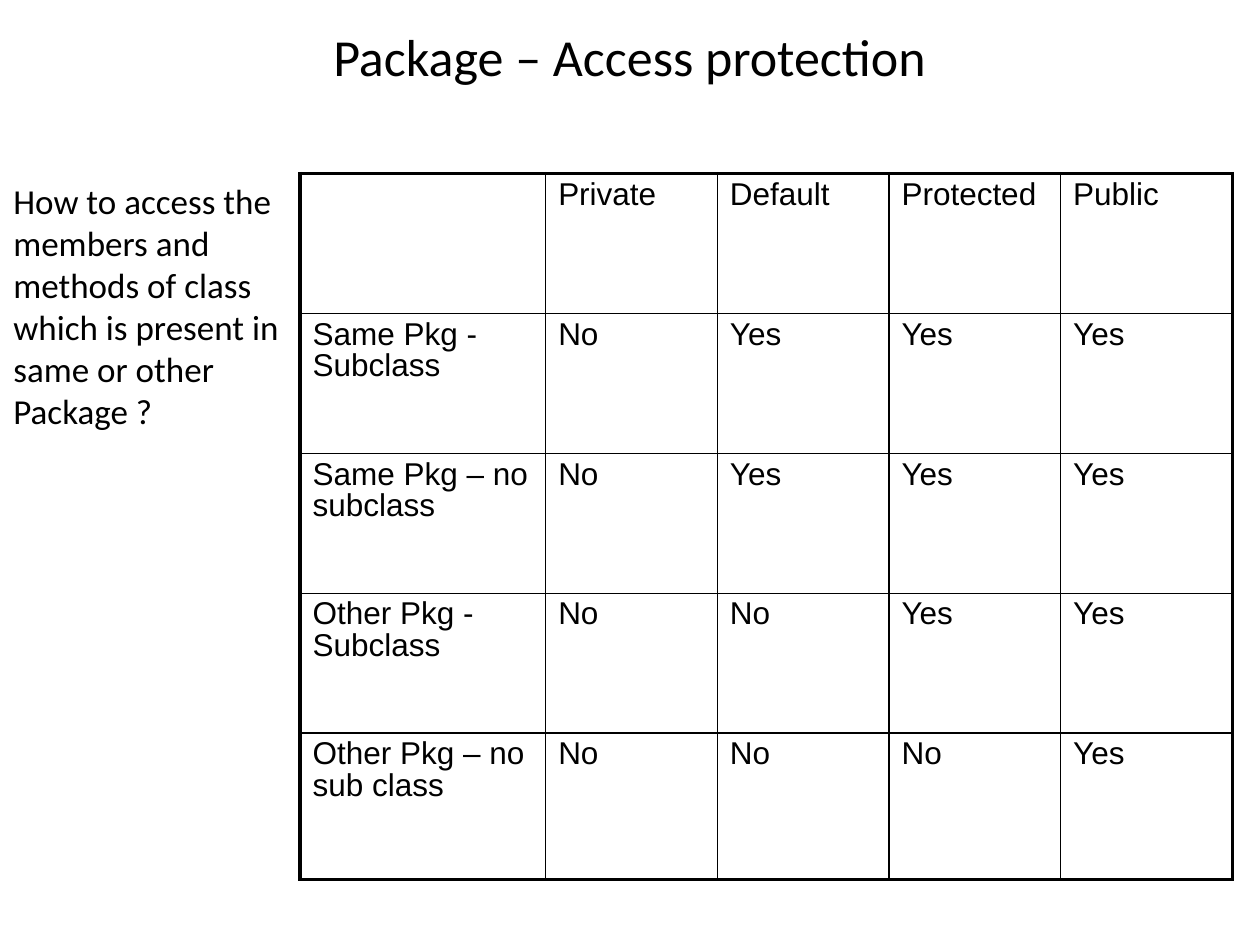
from lxml import etree
from pptx import Presentation
from pptx.dml.color import RGBColor
from pptx.enum.text import MSO_ANCHOR, PP_ALIGN
from pptx.oxml.ns import qn
from pptx.util import Cm, Pt

CENTER, LEFT = PP_ALIGN.CENTER, PP_ALIGN.LEFT
MIDDLE, TOP = MSO_ANCHOR.MIDDLE, MSO_ANCHOR.TOP
BLACK = "000000"
THIN, THICK = 1, 2.25


def add_run(p, text, size, font, color=BLACK):
    r = p.add_run()
    r.text = text
    r.font.size = Pt(size)
    r.font.name = font
    r.font.color.rgb = RGBColor.from_string(color)


def add_border(cell, side, width, color=BLACK):
    ln = etree.SubElement(cell._tc.get_or_add_tcPr(), qn("a:ln" + side),
                          w=str(Pt(width)))
    fill = etree.SubElement(ln, qn("a:solidFill"))
    etree.SubElement(fill, qn("a:srgbClr"), val=color)


prs = Presentation()
prs.slide_width, prs.slide_height = Cm(25.4), Cm(19.05)
s = prs.slides.add_slide(prs.slide_layouts[6])

# Title and question
texts = [
    ("Package – Access protection", 0, 0.36, 25.4, 1.52, 29.7, CENTER, MIDDLE, 0),
    ("How to access the members and methods of class which is present in "
     "same or other Package ?", 0.02, 3.5, 6.15, 11.56, 20, LEFT, TOP, 4),
]
for text, x, y, w, h, size, align, anchor, before in texts:
    tf = s.shapes.add_textbox(Cm(x), Cm(y), Cm(w), Cm(h)).text_frame
    tf.word_wrap = True
    tf.vertical_anchor = anchor
    p = tf.paragraphs[0]
    p.alignment = align
    p.space_before = Pt(before)
    add_run(p, text, size, "Calibri")

# Access table
rows = [
    ["", "Private", "Default", "Protected", "Public"],
    ["Same Pkg - Subclass", "No", "Yes", "Yes", "Yes"],
    ["Same Pkg – no subclass", "No", "Yes", "Yes", "Yes"],
    ["Other Pkg - Subclass", "No", "No", "Yes", "Yes"],
    ["Other Pkg – no sub class", "No", "No", "No", "Yes"],
]
col_widths = [4.95] + [3.46] * 4
row_heights = [2.82] * 4 + [2.95]
last_row, last_col = len(rows) - 1, len(col_widths) - 1

frame = s.shapes.add_table(len(rows), len(col_widths), Cm(6.05), Cm(3.5),
                           Cm(sum(col_widths)), Cm(sum(row_heights)))
table = frame.table
table.first_row = table.horz_banding = False
for col, width in zip(table.columns, col_widths):
    col.width = Cm(width)
for row, height in zip(table.rows, row_heights):
    row.height = Cm(height)

for i, row in enumerate(rows):
    for j, text in enumerate(row):
        cell = table.cell(i, j)
        # Thick lines on the outer edges, thin ones inside
        edges = {"L": j == 0, "R": j == last_col, "T": i == 0, "B": i == last_row}
        for side, outer in edges.items():
            add_border(cell, side, THICK if outer else THIN)
        cell.fill.background()
        if text:
            p = cell.text_frame.paragraphs[0]
            p.line_spacing = 0.9
            p.space_before = Pt(3.6)
            add_run(p, text, 18, "Arial")

prs.save("out.pptx")
